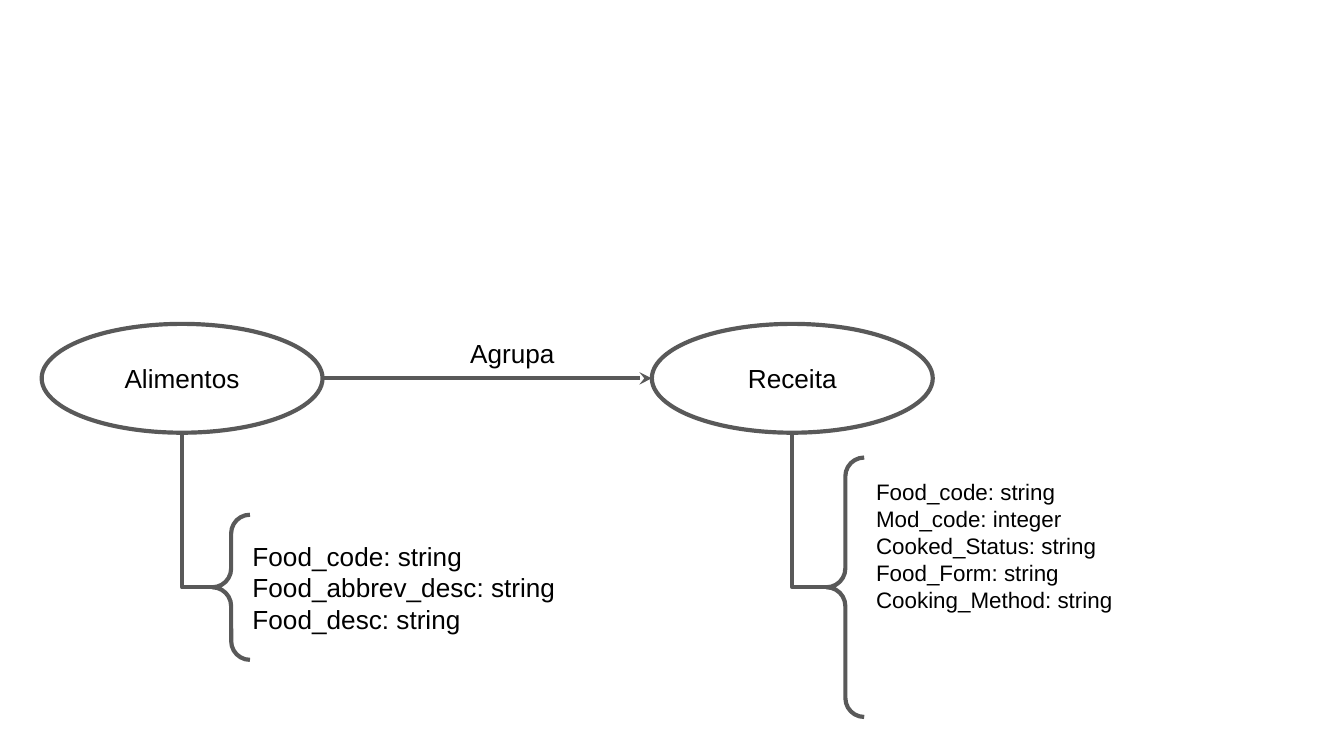
from lxml import etree
from pptx import Presentation
from pptx.dml.color import RGBColor
from pptx.enum.shapes import MSO_CONNECTOR as LINE, MSO_SHAPE as SHAPE
from pptx.enum.text import MSO_ANCHOR as ANCHOR, MSO_AUTO_SIZE as AUTO, PP_ALIGN as ALIGN
from pptx.oxml.ns import qn
from pptx.util import Inches, Pt

COLORS = {"line": "595959", "fill": "FFFFFF", "text": "000000"}
OVAL_W, OVAL_H, OVAL_TOP = 2.09, 0.81, 2.41
BRACE_W, BRACE_MID = 0.28, 4.37
ENTITIES = [
    {"name": "Alimentos", "left": 0.31, "brace": (1.58, 1.08),
     "box": (1.78, 3.92, 2.69, 0.91), "size": 14,
     "fields": ["Food_code: string", "Food_abbrev_desc: string", "Food_desc: string"]},
    {"name": "Receita", "left": 4.85, "brace": (6.15, 1.93),
     "box": (6.42, 3.46, 2.69, 1.21), "size": 12,
     "fields": ["Food_code: string", "Mod_code: integer", "Cooked_Status: string",
                "Food_Form: string", "Cooking_Method: string"]},
]

# Widescreen, 16:9
prs = Presentation()
prs.slide_width = Inches(10)
prs.slide_height = Inches(10) * 9 // 16
s = prs.slides.add_slide(prs.slide_layouts[6])


def write(sp, lines, size, align, **frame):
    """Fill a shape with one paragraph per line and apply frame settings."""
    tf = sp.text_frame
    margins = {f"margin_{side}": Inches(0.1) for side in ("left", "top", "right", "bottom")}
    for key, value in {"word_wrap": True, **margins, **frame}.items():
        setattr(tf, key, value)
    for i, line in enumerate(lines):
        p = tf.paragraphs[0] if i == 0 else tf.add_paragraph()
        p.alignment = align
        r = p.add_run()
        r.text = line
        r.font.name, r.font.size = "Arial", Pt(size)
        r.font.color.rgb = RGBColor.from_string(COLORS["text"])


def connect(kind, *ends):
    """Add an outlined connector without shadow and return it."""
    sp = s.shapes.add_connector(kind, *map(Inches, ends))
    sp.line.color.rgb = RGBColor.from_string(COLORS["line"])
    sp.line.width = Pt(2.25)
    etree.SubElement(sp.element.spPr, qn("a:effectLst"))
    return sp


for entity in ENTITIES:
    left, (brace_left, brace_h) = entity["left"], entity["brace"]
    oval = s.shapes.add_shape(SHAPE.OVAL, Inches(left), Inches(OVAL_TOP),
                              Inches(OVAL_W), Inches(OVAL_H))
    oval.fill.solid()
    oval.fill.fore_color.rgb = RGBColor.from_string(COLORS["fill"])
    write(oval, [entity["name"]], 14, ALIGN.CENTER, vertical_anchor=ANCHOR.MIDDLE)

    brace = s.shapes.add_shape(SHAPE.LEFT_BRACE, Inches(brace_left),
                               Inches(BRACE_MID - brace_h / 2), Inches(BRACE_W), Inches(brace_h))
    brace.adjustments[0] = brace.adjustments[1] = 0.5
    brace.fill.background()

    for sp in (oval, brace):
        sp.shadow.inherit = False
        sp.line.color.rgb = RGBColor.from_string(COLORS["line"])
        sp.line.width = Pt(2.25)

    # One-bend elbow, turned so that it runs left from the brace and up to the oval
    elbow = connect(LINE.ELBOW, left + OVAL_W / 2, OVAL_TOP + OVAL_H, brace_left, BRACE_MID)
    elbow.element.spPr.find(qn("a:prstGeom")).set("prst", "bentConnector2")
    elbow.element.spPr.find(qn("a:xfrm")).set("rot", str(180 * 60000))

    box = s.shapes.add_textbox(*map(Inches, entity["box"]))
    write(box, entity["fields"], entity["size"], ALIGN.LEFT, auto_size=AUTO.SHAPE_TO_FIT_TEXT)

oval_mid = OVAL_TOP + OVAL_H / 2
arrow = connect(LINE.STRAIGHT, ENTITIES[0]["left"] + OVAL_W, oval_mid,
                ENTITIES[1]["left"], oval_mid)
etree.SubElement(arrow.element.spPr.find(qn("a:ln")), qn("a:tailEnd"), type="stealth")
label = s.shapes.add_textbox(*map(Inches, (3.4, 2.41, 0.96, 0.44)))
write(label, ["Agrupa"], 14, ALIGN.LEFT, auto_size=AUTO.SHAPE_TO_FIT_TEXT)

prs.save("out.pptx")
